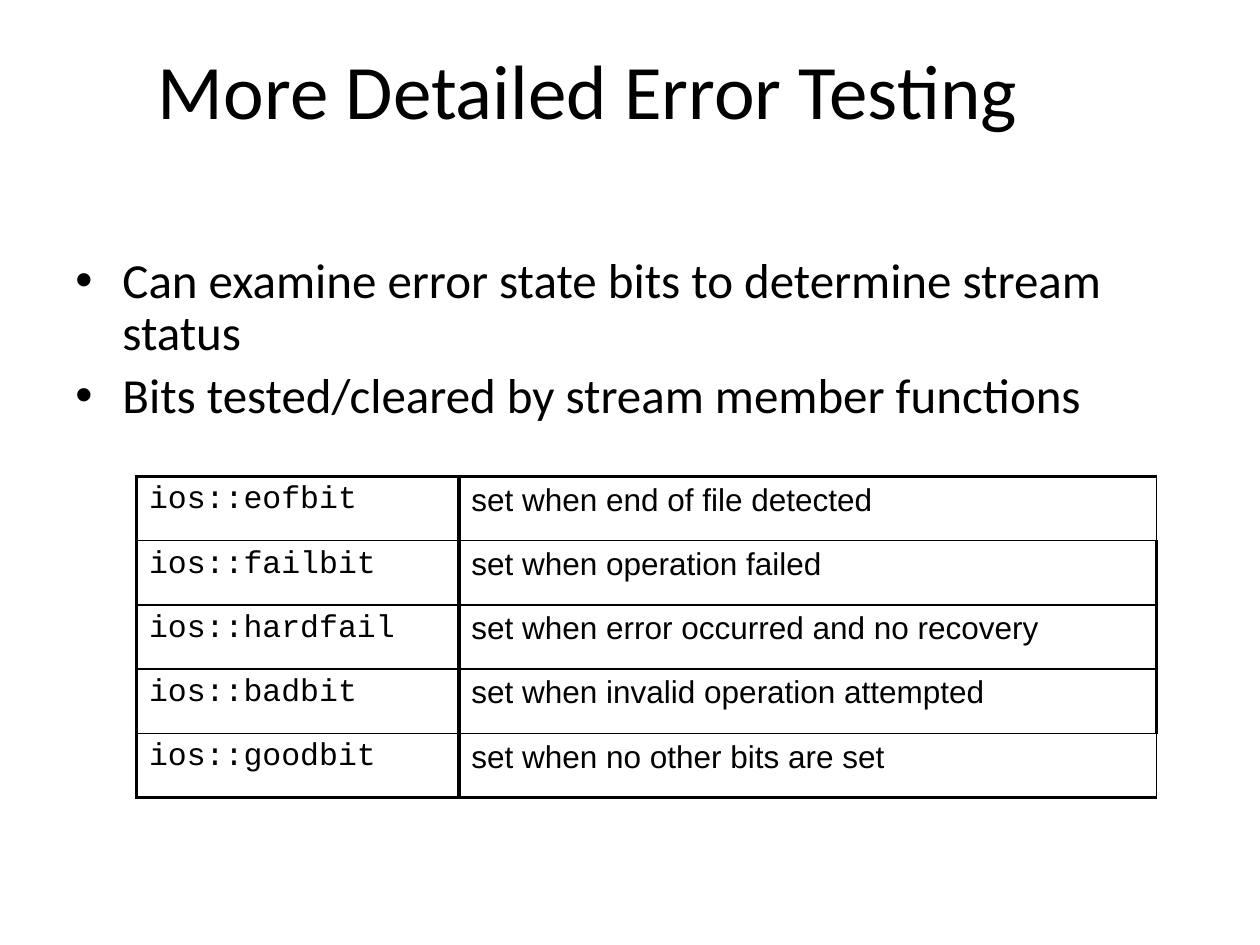
import pptx
import pptx.dml.color
import pptx.enum.text
import pptx.oxml
import pptx.oxml.ns
import pptx.util
from pptx.util import Cm

Pt = pptx.util.Pt
BLACK = pptx.dml.color.RGBColor(0, 0, 0)
WHITE = pptx.dml.color.RGBColor(255, 255, 255)
THICK, THIN = 2.25, 1

TITLE = "More Detailed Error Testing"
POINTS = [
    "Can examine error state bits to determine stream status",
    "Bits tested/cleared by stream member functions",
]
STATE_BITS = [
    ("ios::eofbit", "set when end of file detected"),
    ("ios::failbit", "set when operation failed"),
    ("ios::hardfail", "set when error occurred and no recovery"),
    ("ios::badbit", "set when invalid operation attempted"),
    ("ios::goodbit", "set when no other bits are set"),
]


def apply(target, values):
    for name, value in values.items():
        setattr(target, name, value)


def write(paragraph, words, font, size):
    run = paragraph.add_run()
    run.text = words
    apply(run.font, {"name": font, "size": Pt(size)})
    run.font.color.rgb = BLACK


def add_title(slide, box):
    frame = slide.shapes.add_textbox(*box).text_frame
    apply(frame, {"word_wrap": True,
                  "vertical_anchor": pptx.enum.text.MSO_ANCHOR.MIDDLE})
    heading = frame.paragraphs[0]
    heading.alignment = pptx.enum.text.PP_ALIGN.CENTER
    write(heading, TITLE, "Calibri", 44)


def add_points(slide, box):
    frame = slide.shapes.add_textbox(*box).text_frame
    frame.word_wrap = True
    for index, words in enumerate(POINTS):
        point = frame.add_paragraph() if index else frame.paragraphs[0]
        apply(point, {"line_spacing": 0.9, "space_before": Pt(5.6)})
        properties = point._p.get_or_add_pPr()
        properties.set("marL", str(Cm(0.95)))
        properties.set("indent", str(-Cm(0.95)))
        namespace = pptx.oxml.ns.nsdecls("a")
        for tag in ('buFont typeface="Arial"', 'buChar char="\u2022"'):
            properties.append(pptx.oxml.parse_xml(f"<a:{tag} {namespace}/>"))
        write(point, words, "Calibri", 28)


def add_borders(cell, widths):
    properties = cell._tc.get_or_add_tcPr()
    for side, width in widths.items():
        properties.append(pptx.oxml.parse_xml(
            f'<a:ln{side} {pptx.oxml.ns.nsdecls("a")} w="{Pt(width)}">'
            f'<a:solidFill><a:srgbClr val="{BLACK}"/></a:solidFill>'
            f'</a:ln{side}>'))


def add_state_bits(slide, box):
    last = len(STATE_BITS) - 1
    table = slide.shapes.add_table(len(STATE_BITS), 2, *box).table
    apply(table, {"first_row": False, "horz_banding": False})
    bit_width = Cm(6.5)
    table.columns[0].width = bit_width
    table.columns[1].width = box[2] - bit_width
    for row, entry in enumerate(STATE_BITS):
        for column, (words, font) in enumerate(zip(entry, ("Courier New", "Arial"))):
            cell = table.cell(row, column)
            corner = column == 1 and row in (0, last)
            add_borders(cell, {
                "L": THICK,
                "R": THIN if corner else THICK,
                "T": THICK if row == 0 else THIN,
                "B": THICK if row == last else THIN,
            })
            cell.fill.solid()
            cell.fill.fore_color.rgb = WHITE
            write(cell.text_frame.paragraphs[0], words, font, 18)


def build():
    deck = pptx.Presentation()
    apply(deck, {"slide_width": Cm(25.4), "slide_height": Cm(19.05)})
    slide = deck.slides.add_slide(deck.slide_layouts[6])
    add_title(slide, (Cm(1.27), Cm(0.2), Cm(21.16), Cm(3.18)))
    add_points(slide, (Cm(1.27), Cm(5.03), Cm(23.06), Cm(3.86)))
    add_state_bits(slide, (Cm(2.75), Cm(9.6), Cm(20.56), Cm(6.48)))
    deck.save("out.pptx")


build()
